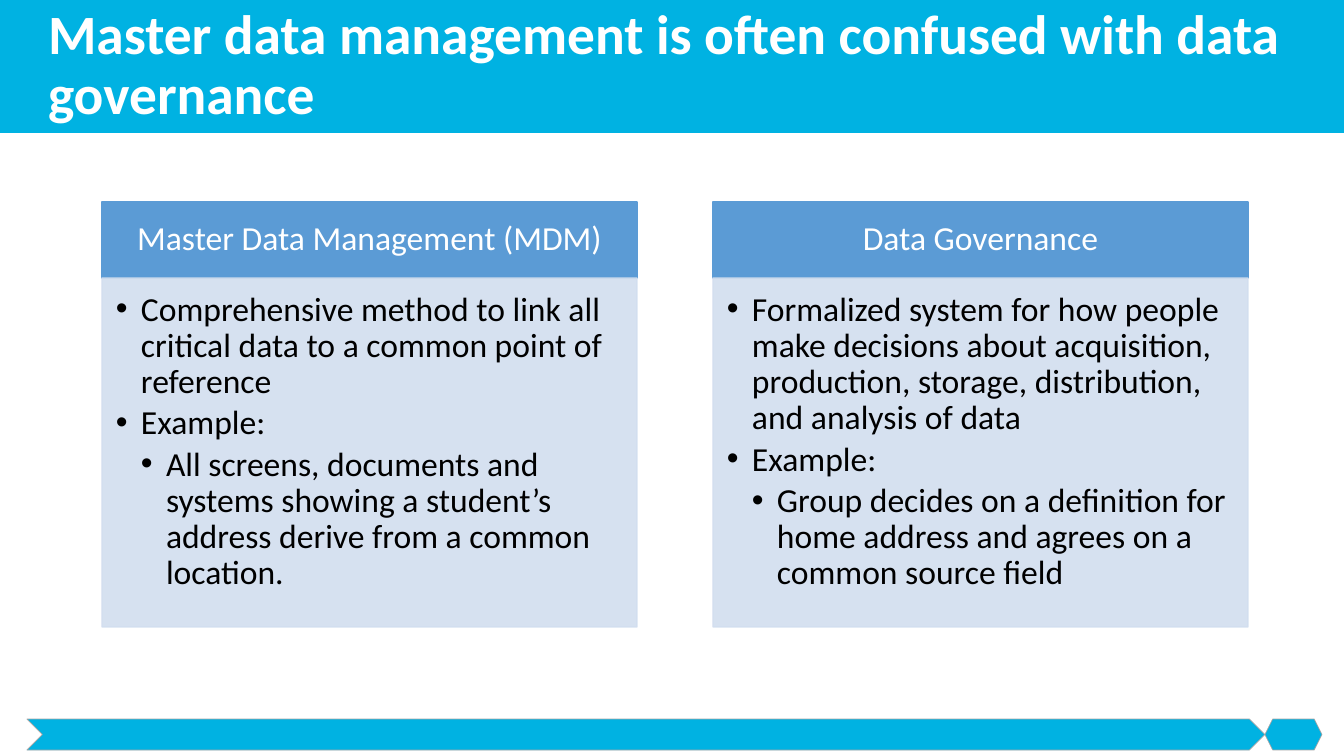
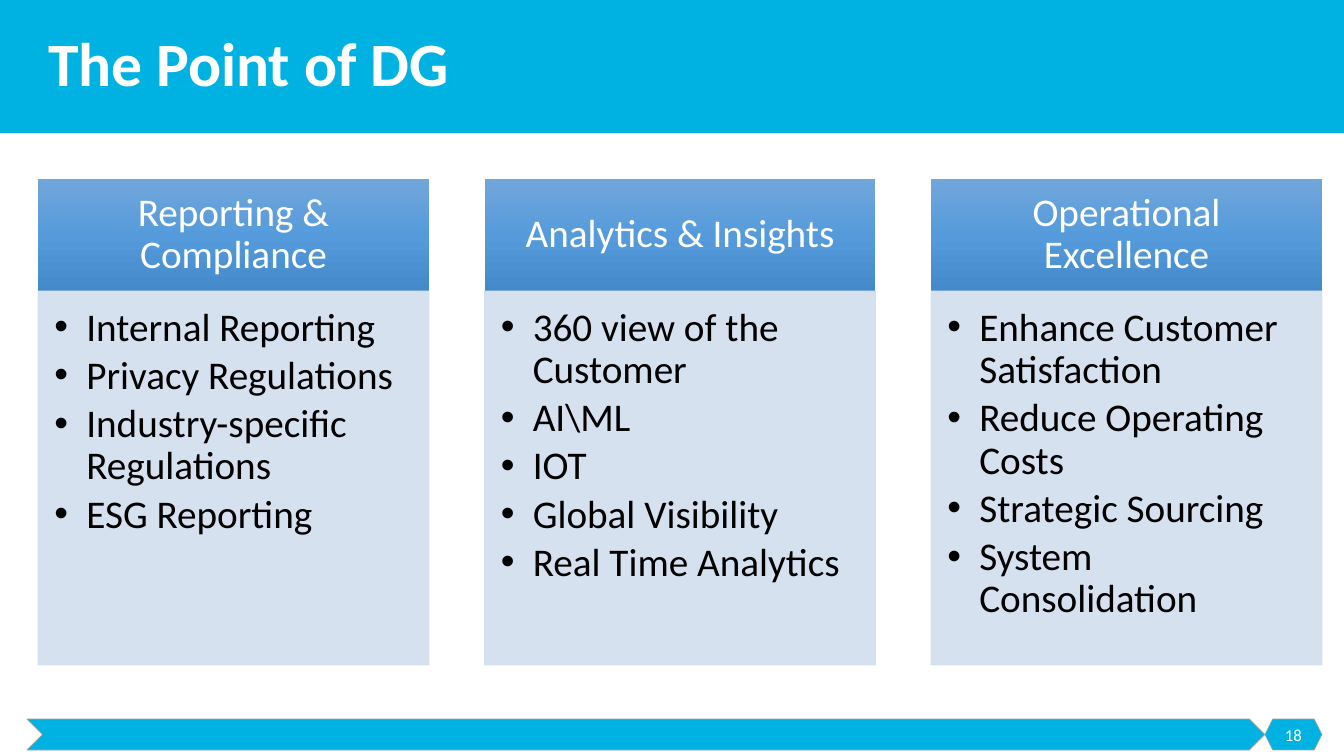
from lxml import etree
from copy import deepcopy
from pptx import Presentation
from pptx.dml.color import RGBColor
from pptx.enum.shapes import MSO_SHAPE
from pptx.enum.text import MSO_ANCHOR, PP_ALIGN
from pptx.oxml.ns import qn
from pptx.util import Emu, Pt

RECT, CHEVRON, HEXAGON = MSO_SHAPE.RECTANGLE, MSO_SHAPE.CHEVRON, MSO_SHAPE.HEXAGON
TOP, MIDDLE = MSO_ANCHOR.TOP, MSO_ANCHOR.MIDDLE
LEFT, CENTER = PP_ALIGN.LEFT, PP_ALIGN.CENTER

FONT = "Calibri"
COLORS = {
    "band": "00B2E2", "edge": "A5A5A5", "head": "5B9BD5", "panel": "D2DEEF",
    "light": "FFFFFF", "dark": "000000",
    "fade1": "71A6DB", "fade2": "559BDB", "fade3": "448ACA",
}
FADE = [(0, "fade1"), (0.5, "fade2"), (1, "fade3")]

# Content: each column is a heading and its (level, text) points
SLIDES = [
    {
        "title": "Master data management is often confused with data governance",
        "title_size": 39.6, "number": None,
        "size": 24, "indent": 25, "line": 1, "fade": False,
        "left": 102, "right": 1248, "width": 535,
        "top": 202, "split": 278, "bottom": 627,
        "columns": [
            ("Master Data Management (MDM)", [
                (1, "Comprehensive method to link all critical data to a common point of reference"),
                (1, "Example:"),
                (2, "All screens, documents and systems showing a student’s address derive from a common location."),
            ]),
            ("Data Governance", [
                (1, "Formalized system for how people make decisions about acquisition, production, storage, distribution, and analysis of data"),
                (1, "Example:"),
                (2, "Group decides on a definition for home address and agrees on a common source field"),
            ]),
        ],
    },
    {
        "title": "The Point of DG",
        "title_size": 44, "number": "18",
        "size": 28, "indent": 32, "line": 0.5, "fade": True,
        "left": 38, "right": 1322, "width": 391,
        "top": 179, "split": 291, "bottom": 665,
        "columns": [
            ("Reporting & Compliance", [
                (1, "Internal Reporting"),
                (1, "Privacy Regulations"),
                (1, "Industry-specific Regulations"),
                (1, "ESG Reporting"),
            ]),
            ("Analytics & Insights", [
                (1, "360 view of the Customer"),
                (1, "AI\\ML"),
                (1, "IOT"),
                (1, "Global Visibility"),
                (1, "Real Time Analytics"),
            ]),
            ("Operational Excellence", [
                (1, "Enhance Customer Satisfaction"),
                (1, "Reduce Operating Costs"),
                (1, "Strategic Sourcing"),
                (1, "System Consolidation"),
            ]),
        ],
    },
]


def px(n):
    return Emu(round(n * 914400 / 100.8))


def color(name):
    return RGBColor.from_string(COLORS[name])


def add_box(slide, kind, at, fill, line=None, width=0.5):
    box = slide.shapes.add_shape(kind, *map(px, at))
    box.shadow.inherit = False
    box.fill.solid()
    box.fill.fore_color.rgb = color(fill)
    if line:
        box.line.color.rgb = color(line)
        box.line.width = Pt(width)
    else:
        box.line.fill.background()
    return box


def set_fade(box):
    box.fill.gradient()
    box.fill.gradient_angle = 270
    stops = box._element.spPr.find(".//" + qn("a:gsLst"))
    stops.append(deepcopy(stops[-1]))
    for stop, (pos, name) in zip(box.fill.gradient_stops, FADE):
        stop.position = pos
        stop.color.rgb = color(name)


def set_alpha(box, percent):
    for item in box._element.spPr.iter(qn("a:srgbClr")):
        etree.SubElement(item, qn("a:alpha")).set("val", str(percent * 1000))


def set_frame(box, anchor, pad=(10, 5, 10, 5)):
    frame = box.text_frame
    frame.word_wrap = True
    frame.vertical_anchor = anchor
    (frame.margin_left, frame.margin_top,
     frame.margin_right, frame.margin_bottom) = map(px, pad)
    return frame


def style(para, size, name, align=LEFT, bold=False):
    para.alignment = align
    para.line_spacing = 0.9
    for run in para.runs:
        font = run.font
        font.name, font.size, font.bold = FONT, Pt(size), bold
        font.color.rgb = color(name)


def add_bullet(para, level, indent):
    props = para._p.get_or_add_pPr()
    props.set("marL", str(px(indent * level)))
    props.set("indent", str(-px(indent)))
    etree.SubElement(props, qn("a:buFont")).set("typeface", "Arial")
    etree.SubElement(props, qn("a:buChar")).set("char", "•")


def add_text(slide, at, text, size, align=LEFT, bold=False):
    frame = set_frame(slide.shapes.add_textbox(*map(px, at)), MIDDLE)
    frame.text = text
    style(frame.paragraphs[0], size, "light", align, bold)


def add_base(slide, data):
    # Title band, footer arrow and number badge
    add_box(slide, RECT, (0, 0, 1344, 133), "band")
    add_box(slide, CHEVRON, (27, 719, 1238, 31), "band", "edge")
    add_box(slide, HEXAGON, (1265, 719, 57, 31), "band", "edge")
    add_text(slide, (38, 0, 1284, 133), data["title"], data["title_size"], bold=True)
    if data["number"]:
        add_text(slide, (1265, 716, 57, 40), data["number"], 12, CENTER)


def add_column(slide, data, x, head, points):
    size, wide = data["size"], data["width"]
    top, split, bottom = data["top"], data["split"], data["bottom"]
    unit = size / 24

    # Heading
    edge = None if data["fade"] else "head"
    box = add_box(slide, RECT, (x, top, wide, split - top), "head", edge, data["line"])
    if data["fade"]:
        set_fade(box)
    frame = set_frame(box, MIDDLE, [n * unit for n in (19, 11, 19, 11)])
    frame.text = head
    style(frame.paragraphs[0], size, "light", CENTER)

    # Bulleted panel
    box = add_box(slide, RECT, (x, split, wide, bottom - split), "panel", "panel", data["line"])
    set_alpha(box, 90)
    frame = set_frame(box, TOP, [n * unit for n in (14, 14, 19, 21)])
    frame.text = "\n".join(text for _, text in points)
    for para, (level, _) in zip(frame.paragraphs, points):
        add_bullet(para, level, data["indent"])
        para.space_after = Pt(size * 0.15)
        style(para, size, "dark")


def main():
    deck = Presentation()
    deck.slide_width, deck.slide_height = px(1344), px(756)
    for data in SLIDES:
        slide = deck.slides.add_slide(deck.slide_layouts[6])
        add_base(slide, data)
        cols = data["columns"]
        step = (data["right"] - data["left"] - data["width"]) / (len(cols) - 1)
        for i, (head, points) in enumerate(cols):
            add_column(slide, data, data["left"] + i * step, head, points)
    deck.save("out.pptx")


if __name__ == "__main__":
    main()
